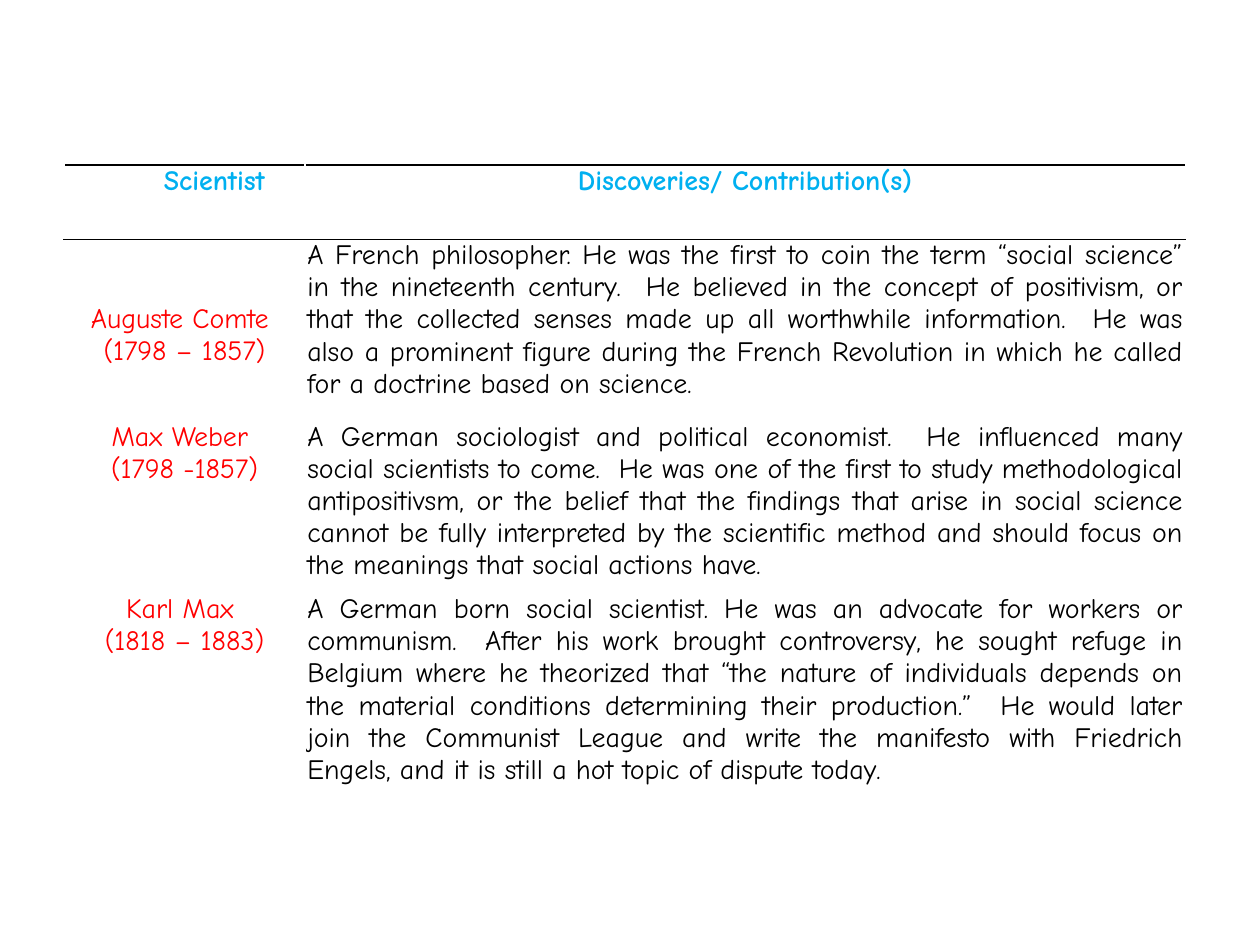
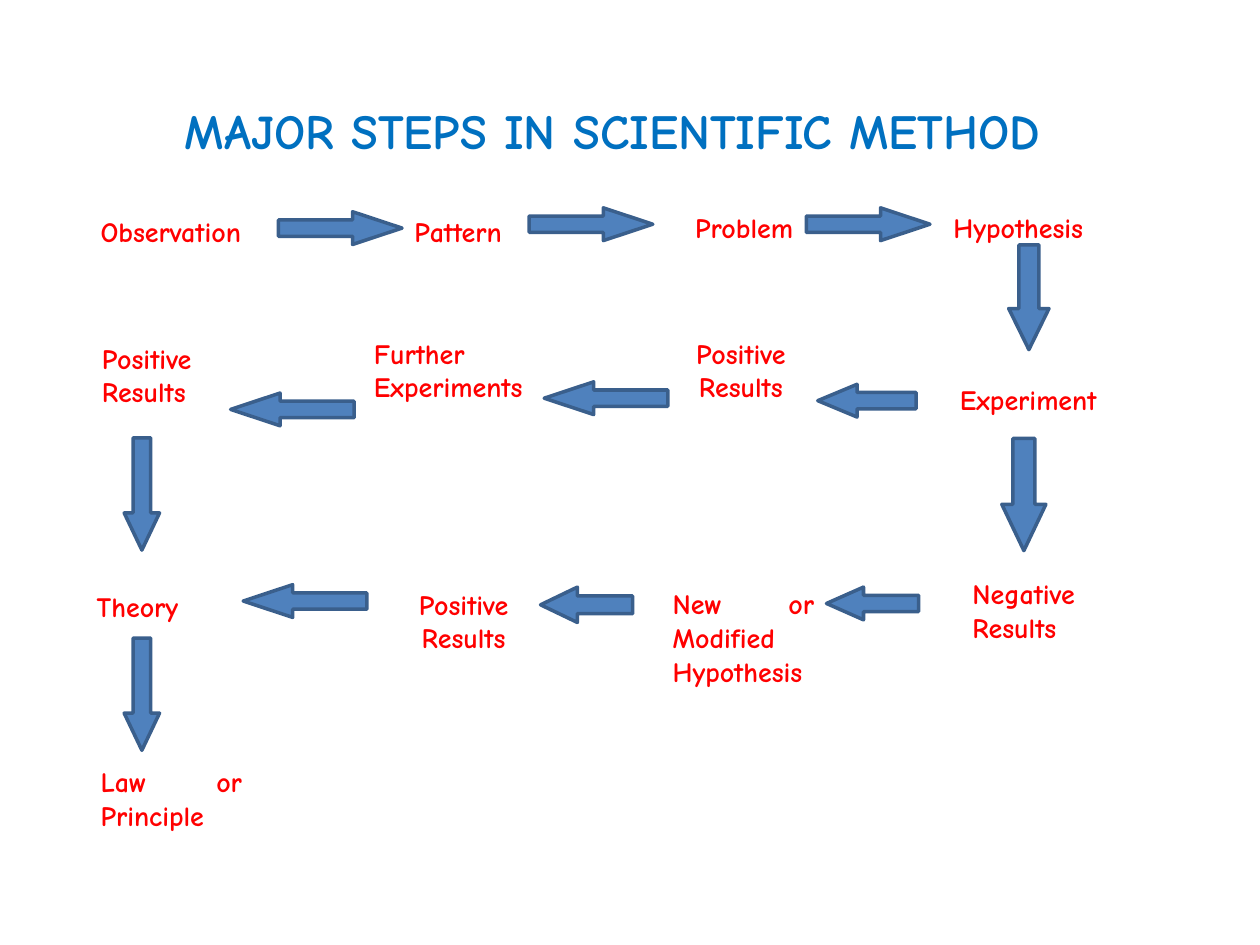
from pptx import Presentation
from pptx.dml.color import RGBColor
from pptx.enum.shapes import MSO_SHAPE
from pptx.enum.text import MSO_ANCHOR, PP_ALIGN
from pptx.oxml import parse_xml
from pptx.oxml.ns import nsdecls
from pptx.util import Pt

COLORS = {
    "heading": "00B0F0",
    "title": "0070C0",
    "label": "FF0000",
    "body": "000000",
    "paper": "FFFFFF",
    "arrow": "4F81BD",
    "arrow_edge": "3A5F8C",
}
FONT = "Comic Neue"
TEXT_SIZE = 16
PARAGRAPH_GAP = 10


def write(paragraph, text, color, size=TEXT_SIZE, bold=False,
          align=PP_ALIGN.LEFT, after=0):
    """Add one styled run to the paragraph and set its alignment and spacing."""
    paragraph.alignment = align
    paragraph.space_before = Pt(0)
    paragraph.space_after = Pt(after)
    run = paragraph.add_run()
    run.text = text
    run.font.name = FONT
    run.font.size = Pt(size)
    run.font.bold = bold
    run.font.color.rgb = RGBColor.from_string(COLORS[color])


def rule_cell(cell, *edges):
    """Draw a thin black line on the given edges (lnT, lnB) of a cell."""
    properties = cell._tc.get_or_add_tcPr()
    for position, edge in enumerate(edges):
        properties.insert(position, parse_xml(
            f'<a:{edge} {nsdecls("a")} w="{Pt(1)}"><a:solidFill>'
            f'<a:srgbClr val="{COLORS["body"]}"/></a:solidFill></a:{edge}>'))


deck = Presentation()
deck.slide_width, deck.slide_height = Pt(720), Pt(540)
blank = deck.slide_layouts[6]

# Slide 1: social scientists and their contributions
scientists = [
    ("Auguste Comte ", "(1798 – 1857)",
     "A French philosopher. He was the first to coin the term “social science” "
     "in the nineteenth century.  He believed in the concept of positivism, or "
     "that the collected senses made up all worthwhile information.  He was "
     "also a prominent figure during the French Revolution in which he called "
     "for a doctrine based on science."),
    ("Max Weber ", "(1798 -1857)",
     "A German sociologist and political economist.  He influenced many "
     "social scientists to come.  He was one of the first to study "
     "methodological antipositivsm, or the belief that the findings that arise "
     "in social science cannot be fully interpreted by the scientific method "
     "and should focus on the meanings that social actions have."),
    ("Karl Max ", "(1818 – 1883)",
     "A German born social scientist. He was an advocate for workers or "
     "communism.  After his work brought controversy, he sought refuge in "
     "Belgium where he theorized that “the nature of individuals depends on "
     "the material conditions determining their production.”  He would later "
     "join the Communist League and write the manifesto with Friedrich "
     "Engels, and it is still a hot topic of dispute today."),
]
column_widths = [137.5, 503.3]
row_heights = [42.5, 103.7, 98.6, 169.2]

slide = deck.slides.add_slide(blank)
table = slide.shapes.add_table(
    len(row_heights), len(column_widths), Pt(36.7), Pt(94.3),
    Pt(sum(column_widths)), Pt(sum(row_heights))).table
table.first_row = table.horz_banding = False
for column, width in zip(table.columns, column_widths):
    column.width = Pt(width)
for row, height in zip(table.rows, row_heights):
    row.height = Pt(height)
for cell in table.iter_cells():
    cell.fill.background()
    cell.margin_left = cell.margin_right = Pt(1.4)
    cell.margin_top = cell.margin_bottom = Pt(0)

for column, heading in enumerate(["Scientist", "Discoveries/ Contribution(s)"]):
    heading_cell = table.cell(0, column)
    write(heading_cell.text_frame.paragraphs[0], heading, "heading",
          bold=True, align=PP_ALIGN.CENTER)
    rule_cell(heading_cell, "lnT", "lnB")
    rule_cell(table.cell(1, column), "lnT")
table.cell(0, 0).margin_left = Pt(35.6)
table.cell(1, 0).margin_top = Pt(36.7)

for row, (name, years, contribution) in enumerate(scientists, start=1):
    name_frame = table.cell(row, 0).text_frame
    write(name_frame.paragraphs[0], name, "label", align=PP_ALIGN.CENTER)
    write(name_frame.add_paragraph(), years, "label", align=PP_ALIGN.CENTER)
    write(table.cell(row, 1).text_frame.paragraphs[0], contribution, "body",
          align=PP_ALIGN.JUSTIFY, after=PARAGRAPH_GAP)

# Slide 2: steps of the scientific method
slide = deck.slides.add_slide(blank)
title_frame = slide.shapes.add_textbox(
    Pt(98.6), Pt(54), Pt(607.7), Pt(63)).text_frame
title_frame.word_wrap = True
write(title_frame.paragraphs[0], "MAJOR STEPS IN SCIENTIFIC METHOD", "title",
      size=28, bold=True)

JUSTIFY, CENTER = PP_ALIGN.JUSTIFY, PP_ALIGN.CENTER
steps = [  # text, left, top, width, height, alignment
    ("Observation", 50.4, 118.8, 108.7, 54.7, JUSTIFY),
    ("Pattern", 229.7, 118.8, 68.4, 54.7, JUSTIFY),
    ("Problem", 390.2, 116.6, 79.2, 54.7, JUSTIFY),
    ("Hypothesis", 537.8, 116.6, 100.8, 54.7, JUSTIFY),
    ("Experiment", 541.4, 215.3, 108, 54.7, JUSTIFY),
    ("Positive Results", 385.2, 188.6, 76.3, 105.1, CENTER),
    ("Further Experiments", 206.6, 188.6, 101.5, 97.2, JUSTIFY),
    ("Positive Results", 51.1, 191.5, 76.3, 92.2, JUSTIFY),
    ("Theory", 48.2, 333.4, 95, 54.7, JUSTIFY),
    ("Positive Results", 217.4, 331.9, 95, 95, CENTER),
    ("Negative Results", 548.6, 326.2, 95, 91.4, JUSTIFY),
    ("New or Modified Hypothesis", 377.3, 331.9, 95, 139.7, JUSTIFY),
    ("Law or Principle", 50.4, 433.4, 95, 57.6, JUSTIFY),
]
for text, left, top, width, height, align in steps:
    step = slide.shapes.add_shape(
        MSO_SHAPE.RECTANGLE, Pt(left), Pt(top), Pt(width), Pt(height))
    step.shadow.inherit = False
    step.fill.solid()
    step.fill.fore_color.rgb = RGBColor.from_string(COLORS["paper"])
    step.line.color.rgb = RGBColor.from_string(COLORS["paper"])
    step.line.width = Pt(0.75)
    step.text_frame.word_wrap = True
    step.text_frame.vertical_anchor = MSO_ANCHOR.TOP
    write(step.text_frame.paragraphs[0], text, "label", bold=True,
          align=align, after=PARAGRAPH_GAP)

RIGHT, DOWN, LEFT = 0, 90, 180
LONG = (70.6, 18.7, 1.51)
TALL = (64.1, 20.2, 1.05)
arrows = [  # direction, left, top, (length, thickness, head ratio)
    (RIGHT, 159.1, 121, LONG),
    (RIGHT, 302.4, 118.8, LONG),
    (RIGHT, 460.8, 118.8, LONG),
    (LEFT, 131.8, 224.6, LONG),
    (LEFT, 311, 218.2, LONG),
    (LEFT, 467.3, 219.6, (56.2, 18.7, 1.2)),
    (DOWN, 558, 158.4, (59.8, 23, 1.02)),
    (DOWN, 553, 270, (64.1, 25.2, 1.05)),
    (LEFT, 308.9, 335.5, (52.6, 20.2, 1.04)),
    (LEFT, 472.3, 335.5, (52.6, 18.7, 1.13)),
    (LEFT, 139, 334.1, LONG),
    (DOWN, 49, 272.2, TALL),
    (DOWN, 49, 386.6, TALL),
]
for direction, left, top, (length, thickness, head_ratio) in arrows:
    arrow = slide.shapes.add_shape(
        MSO_SHAPE.RIGHT_ARROW, Pt(left), Pt(top), Pt(length), Pt(thickness))
    arrow.rotation = direction
    arrow.adjustments[1] = head_ratio
    arrow.shadow.inherit = False
    arrow.fill.solid()
    arrow.fill.fore_color.rgb = RGBColor.from_string(COLORS["arrow"])
    arrow.line.color.rgb = RGBColor.from_string(COLORS["arrow_edge"])
    arrow.line.width = Pt(2)

deck.save("out.pptx")
